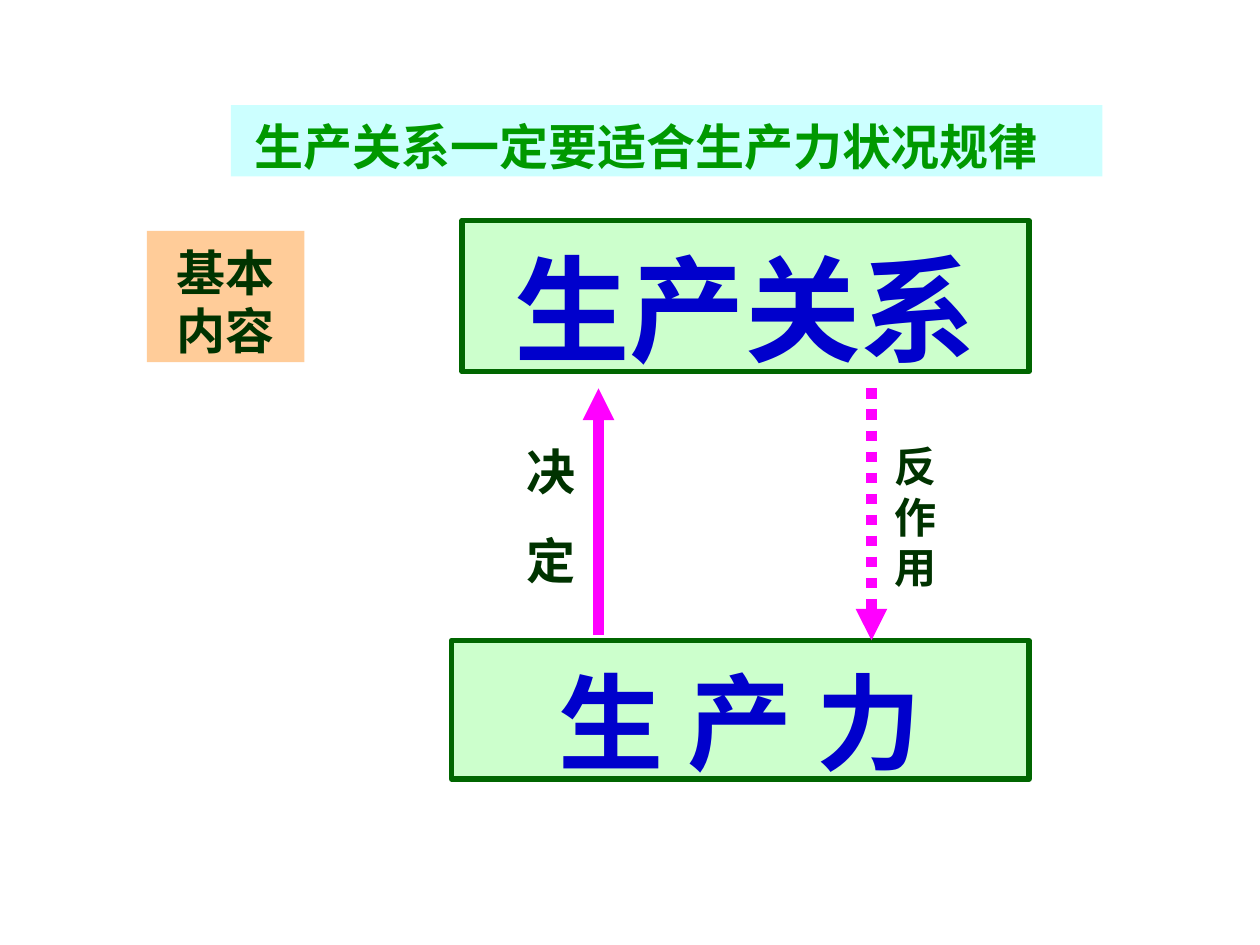
from dataclasses import dataclass
from typing import Optional

from lxml.etree import SubElement
from pptx import Presentation
from pptx.dml.color import RGBColor
from pptx.enum.dml import MSO_LINE
from pptx.enum.lang import MSO_LANGUAGE_ID
from pptx.enum.shapes import MSO_CONNECTOR, MSO_SHAPE
from pptx.enum.text import MSO_ANCHOR, PP_ALIGN
from pptx.oxml.ns import qn
from pptx.slide import Slide
from pptx.util import Inches, Pt

COLUMNS_PER_INCH = 12
LINE_HEIGHT = 1.2
BASELINE_SHIFT = 0.1
CHINESE_FONT = "Noto Sans CJK SC"
LATIN_FONT = "Times New Roman"
COLORS = {
    "mint": "CCFFCC",
    "peach": "FFCC99",
    "aqua": "CCFFFF",
    "border": "006600",
    "blue": "0000CC",
    "dark": "003300",
    "green": "009900",
    "arrow": "FF00FF",
}


@dataclass
class Panel:
    column: float
    row: float
    columns: float
    rows: float
    lines: tuple[str, ...]
    size: int
    color: str
    fill: Optional[str] = None
    border: Optional[str] = None
    font: str = CHINESE_FONT
    align: PP_ALIGN = PP_ALIGN.CENTER
    left_inset: float = 0.1
    gap: float = 0


@dataclass
class Arrow:
    column: float
    start_row: float
    end_row: float
    dash: Optional[MSO_LINE] = None


PANELS = [
    Panel(43, 61, 55, 13.2, ("生 产 力",), 60, "blue", "mint", "border"),
    Panel(44, 21, 54, 14.4, ("生产关系",), 66, "blue", "mint", "border", LATIN_FONT),
    Panel(49, 41, 7, 15.4, ("决", "定"), 28, "dark", align=PP_ALIGN.LEFT, gap=17.5),
    Panel(84, 41, 6, 15.6, ("反作用",), 24, "dark", font=LATIN_FONT, align=PP_ALIGN.LEFT),
    Panel(14, 22, 15, 12.5, ("基本内容",), 28, "dark", "peach"),
    Panel(22, 10, 83, 6.8, ("生产关系一定要适合生产力状况规律",), 28, "green", "aqua",
          align=PP_ALIGN.LEFT, left_inset=0.19),
]
ARROWS = [Arrow(57, 60.5, 37), Arrow(83, 37, 61, MSO_LINE.ROUND_DOT)]


def grid(units: float) -> int:
    return Inches(units / COLUMNS_PER_INCH)


def color_of(name: str) -> RGBColor:
    return RGBColor.from_string(COLORS[name])


def apply_format(target: object, values: dict) -> None:
    for name, value in values.items():
        setattr(target, name, value)


def write_lines(shape, panel: Panel) -> None:
    frame = shape.text_frame
    apply_format(frame, {
        "word_wrap": True,
        "vertical_anchor": MSO_ANCHOR.TOP,
        "margin_left": Inches(panel.left_inset),
        "margin_right": Inches(0.1),
        "margin_top": Inches(0.05) + Pt(panel.size * BASELINE_SHIFT),
        "margin_bottom": 0,
    })
    for index, line in enumerate(panel.lines):
        paragraph = frame.add_paragraph() if index else frame.paragraphs[0]
        apply_format(paragraph, {
            "alignment": panel.align,
            "line_spacing": Pt(panel.size * LINE_HEIGHT),
            "space_before": Pt(panel.gap if index else 0),
        })
        run = paragraph.add_run()
        run.text = line
        apply_format(run.font, {
            "name": panel.font,
            "size": Pt(panel.size),
            "bold": True,
            "language_id": MSO_LANGUAGE_ID.SIMPLIFIED_CHINESE,
        })
        run.font.color.rgb = color_of(panel.color)
        properties = run._r.get_or_add_rPr()
        SubElement(properties, qn("a:ea"), typeface=CHINESE_FONT)


def draw_panel(slide: Slide, panel: Panel) -> None:
    place = [grid(value) for value in (panel.column, panel.row, panel.columns, panel.rows)]
    if panel.fill:
        shape = slide.shapes.add_shape(MSO_SHAPE.RECTANGLE, *place)
        shape.shadow.inherit = False
        shape.fill.solid()
        shape.fill.fore_color.rgb = color_of(panel.fill)
        if panel.border:
            shape.line.color.rgb = color_of(panel.border)
            shape.line.width = Pt(3)
        else:
            shape.line.fill.background()
    else:
        shape = slide.shapes.add_textbox(*place)
    write_lines(shape, panel)


def draw_arrow(slide: Slide, arrow: Arrow) -> None:
    connector = slide.shapes.add_connector(
        MSO_CONNECTOR.STRAIGHT,
        grid(arrow.column), grid(arrow.start_row),
        grid(arrow.column), grid(arrow.end_row),
    )
    connector.line.color.rgb = color_of("arrow")
    apply_format(connector.line, {"width": Pt(6), "dash_style": arrow.dash})
    SubElement(connector.line._get_or_add_ln(), qn("a:tailEnd"), type="triangle")
    SubElement(connector._element.spPr, qn("a:effectLst"))


def main() -> None:
    presentation = Presentation()
    apply_format(presentation, {"slide_width": Inches(10), "slide_height": Inches(7.5)})
    slide = presentation.slides.add_slide(presentation.slide_layouts[6])
    for panel in PANELS[:4]:
        draw_panel(slide, panel)
    for arrow in ARROWS:
        draw_arrow(slide, arrow)
    for panel in PANELS[4:]:
        draw_panel(slide, panel)
    presentation.save("out.pptx")


if __name__ == "__main__":
    main()
